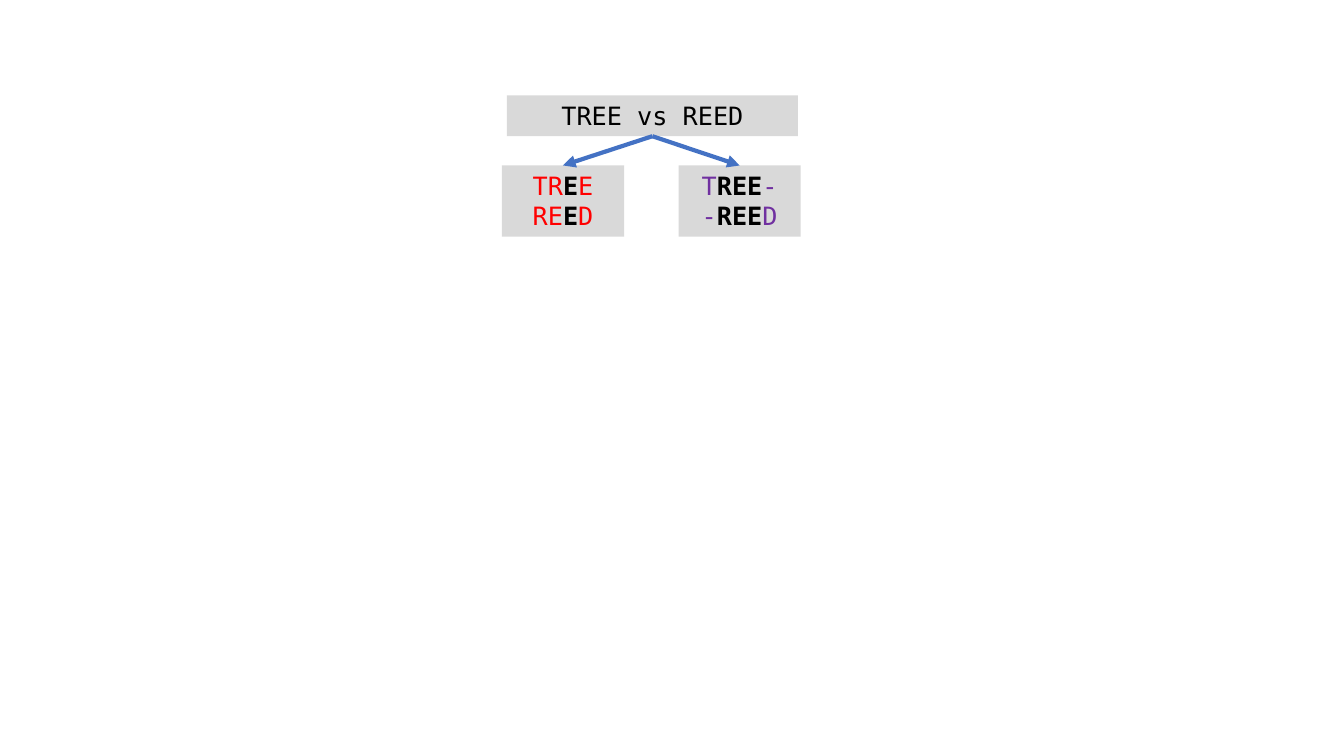
import pptx
import pptx.dml.color
import pptx.enum.shapes
import pptx.enum.text
import pptx.oxml.ns
import pptx.util
from lxml import etree

Pt = pptx.util.Pt
BLACK, RED, PURPLE = "000000", "FF0000", "7030A0"
GREY, BLUE = "D9D9D9", "4472C4"


def color(hex_string):
    return pptx.dml.color.RGBColor.from_string(hex_string)


def add_box(left, top, width, height, lines):
    """Add a grey box; each line is a list of (text, colour, bold) runs."""
    box = slide.shapes.add_textbox(Pt(left), Pt(top), Pt(width), Pt(height))
    box.fill.solid()
    box.fill.fore_color.rgb = color(GREY)
    frame = box.text_frame
    frame.word_wrap = True
    frame.auto_size = pptx.enum.text.MSO_AUTO_SIZE.SHAPE_TO_FIT_TEXT
    for index, line in enumerate(lines):
        paragraph = frame.add_paragraph() if index else frame.paragraphs[0]
        paragraph.alignment = pptx.enum.text.PP_ALIGN.CENTER
        for text, text_color, bold in line:
            run = paragraph.add_run()
            run.text = text
            font_format = {"name": "DejaVu Sans Mono", "size": Pt(18), "bold": bold}
            for name, value in font_format.items():
                setattr(run.font, name, value)
            run.font.color.rgb = color(text_color)
    return box


presentation = pptx.Presentation()
presentation.slide_width = Pt(960)
presentation.slide_height = Pt(540)
slide = presentation.slides.add_slide(presentation.slide_layouts[6])

comparison = add_box(362, 68.2, 208, 29.1, [[("TREE vs REED", BLACK, False)]])

# Each alignment: left edge, colour of unmatched letters, (before, matched, after) rows
alignments = [
    (358.5, RED, [("TR", "E", "E"), ("RE", "E", "D")]),
    (484.7, PURPLE, [("T", "REE", "-"), ("-", "REE", "D")]),
]
alignment_boxes = []
for left, unmatched, rows in alignments:
    lines = [
        [(before, unmatched, False), (matched, BLACK, True), (after, unmatched, False)]
        for before, matched, after in rows
    ]
    alignment_boxes.append(add_box(left, 118.2, 87.3, 50.9, lines))

for box in alignment_boxes:
    arrow = slide.shapes.add_connector(
        pptx.enum.shapes.MSO_CONNECTOR.STRAIGHT, Pt(0), Pt(0), Pt(0), Pt(0)
    )
    arrow.begin_connect(comparison, 2)
    arrow.end_connect(box, 0)
    arrow.line.color.rgb = color(BLUE)
    arrow.line.width = Pt(3)
    etree.SubElement(
        arrow.line._get_or_add_ln(), pptx.oxml.ns.qn("a:tailEnd"), type="triangle"
    )
    etree.SubElement(arrow._element.spPr, pptx.oxml.ns.qn("a:effectLst"))

presentation.save("out.pptx")
